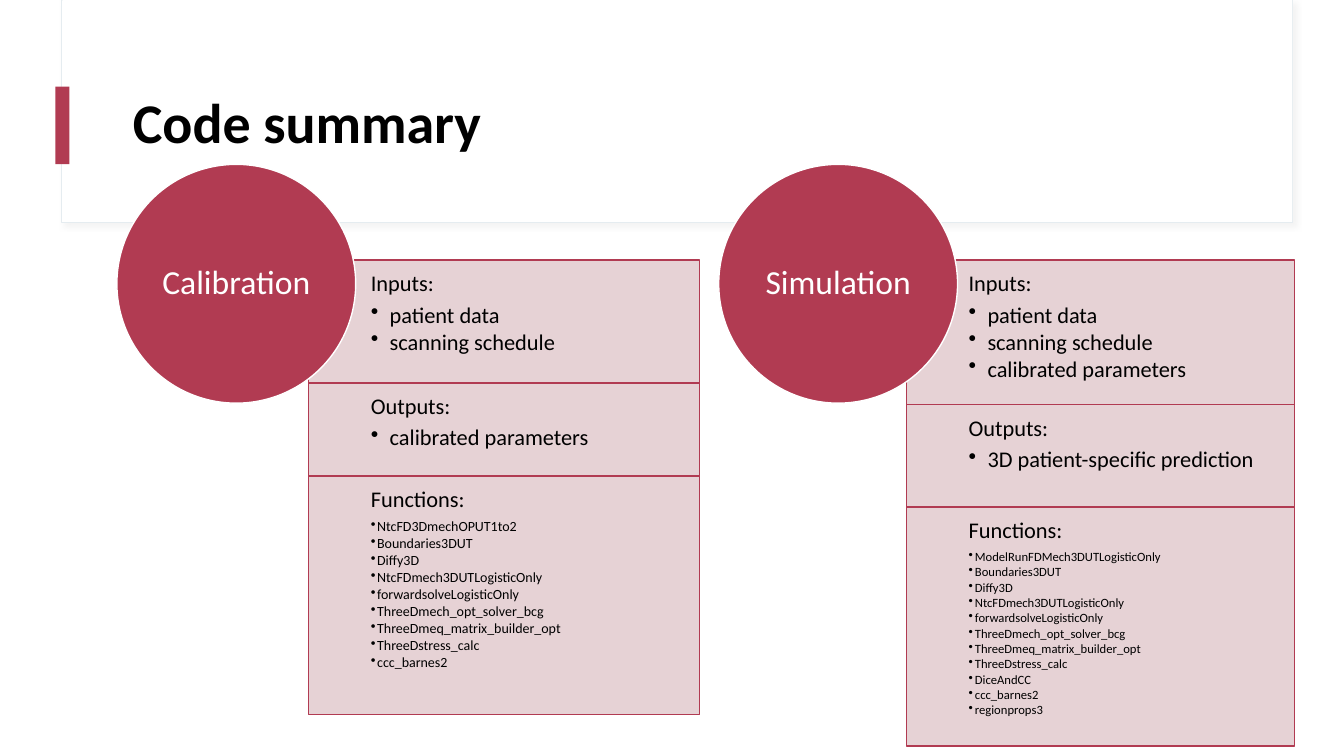
from lxml import etree
from pptx import Presentation
from pptx import util as u
from pptx.dml.color import RGBColor
from pptx.enum import shapes, text
from pptx.oxml.ns import qn

COLORS = {
    "crimson": "B13B52",
    "blush": "E4CED1",
    "mist": "E5ECF0",
    "shade": "D9D9D9",
    "white": "FFFFFF",
    "black": "000000",
}
FONT = "Calibri"
LINE_SPACING = 0.9
HEADING_SIZE = 16

PANEL_TOP = 185.8
CIRCLE_TOP, CIRCLE_SIZE = 117.4, 170.6
SHARED_FUNCTIONS = [
    "Boundaries3DUT", "Diffy3D", "NtcFDmech3DUTLogisticOnly",
    "forwardsolveLogisticOnly", "ThreeDmech_opt_solver_bcg",
    "ThreeDmeq_matrix_builder_opt", "ThreeDstress_calc",
]
# Each panel: heading, height, bullet size, bullet indent, bullets
STAGES = [
    {"name": "Calibration", "circle_left": 83.5, "left": 220.3, "width": 279.4,
     "panels": [
         ("Inputs:", 87.8, 16, 13.5, ["patient data", "scanning schedule"]),
         ("Outputs:", 66.4, 16, 13.5, ["calibrated parameters"]),
         ("Functions:", 170.6, 10, 4.5,
          ["NtcFD3DmechOPUT1to2", *SHARED_FUNCTIONS, "ccc_barnes2"]),
     ]},
    {"name": "Simulation", "circle_left": 513.4, "left": 647.3, "width": 277.2,
     "panels": [
         ("Inputs:", 103.3, 16, 13.5,
          ["patient data", "scanning schedule", "calibrated parameters"]),
         ("Outputs:", 73.1, 16, 13.5, ["3D patient-specific prediction"]),
         ("Functions:", 170.6, 9, 4.5,
          ["ModelRunFDMech3DUTLogisticOnly", *SHARED_FUNCTIONS,
           "DiceAndCC", "ccc_barnes2", "regionprops3"]),
     ]},
]


def rgb(name):
    return RGBColor.from_string(COLORS[name])


def add_child(parent, tag, **attrs):
    return etree.SubElement(parent, qn(tag), {k: str(v) for k, v in attrs.items()})


def write(p, content, size=HEADING_SIZE, color="black", bold=False,
          align=text.PP_ALIGN.LEFT, after=0, indent=0):
    """Fill a paragraph; an indent makes it a bullet."""
    p.alignment = align
    p.line_spacing = LINE_SPACING
    p.space_after = u.Pt(after)
    r = p.add_run()
    r.text = content
    r.font.name = FONT
    r.font.size = u.Pt(size)
    r.font.bold = bold
    r.font.color.rgb = rgb(color)
    if indent:
        p.level = 1
        pPr = p._p.get_or_add_pPr()
        pPr.set("marL", str(u.Pt(indent)))
        pPr.set("indent", str(-u.Pt(indent)))
        add_child(pPr, "a:buChar", char="•")


class Deck:
    def __init__(self):
        self.prs = Presentation()
        self.prs.slide_width = u.Pt(960)
        self.prs.slide_height = u.Pt(540)
        self.s = self.prs.slides.add_slide(self.prs.slide_layouts[6])

    def shape(self, kind, box, fill, line=None, line_width=1, alpha=None):
        sp = self.s.shapes.add_shape(kind, *map(u.Pt, box))
        sp.shadow.inherit = False
        sp.fill.solid()
        sp.fill.fore_color.rgb = rgb(fill)
        if alpha:
            color = sp._element.spPr.find(qn("a:solidFill"))[0]
            add_child(color, "a:alpha", val=alpha * 1000)
        if line:
            sp.line.color.rgb = rgb(line)
            sp.line.width = u.Pt(line_width)
        else:
            sp.line.fill.background()
        return sp

    def rect(self, *args, **kwargs):
        return self.shape(shapes.MSO_SHAPE.RECTANGLE, *args, **kwargs)

    def frame(self, sp, anchor, left=0, top=0, right=0, bottom=0):
        """Set up the text area of a shape."""
        tf = sp.text_frame
        tf.word_wrap = True
        tf.vertical_anchor = anchor
        tf.margin_left, tf.margin_top = u.Pt(left), u.Pt(top)
        tf.margin_right, tf.margin_bottom = u.Pt(right), u.Pt(bottom)
        return tf

    def header(self, title):
        sp = self.rect((43.9, 0, 879.1, 159.1), "white", "mist", 0.75)
        effects = sp._element.spPr.find(qn("a:effectLst"))
        shadow = add_child(effects, "a:outerShdw", blurRad=u.Pt(4), dist=u.Pt(3),
                           dir=45 * 60000, algn="tl", rotWithShape=0)
        color = add_child(shadow, "a:srgbClr", val=COLORS["shade"])
        add_child(color, "a:alpha", val=30000)
        self.rect((44.6, 0, 878.4, 158.4), "white")
        self.rect((39.6, 61.9, 10.1, 55.4), "crimson")
        tb = self.s.shapes.add_textbox(*map(u.Pt, (87.8, 43.2, 800.6, 92.9)))
        tf = self.frame(tb, text.MSO_ANCHOR.MIDDLE, 7.2, 3.6, 7.2, 3.6)
        write(tf.paragraphs[0], title, size=40, bold=True)

    def panel(self, box, heading, size, indent, bullets):
        sp = self.rect(box, "blush", "crimson", alpha=90)
        tf = self.frame(sp, text.MSO_ANCHOR.TOP, 44.6, 8.6, 8.6, 8.6)
        write(tf.paragraphs[0], heading, after=5.3)
        for bullet in bullets:
            write(tf.add_paragraph(), bullet, size=size, indent=indent,
                  after=round(0.13 * size, 1))

    def circle(self, left, name):
        box = (left, CIRCLE_TOP, CIRCLE_SIZE, CIRCLE_SIZE)
        sp = self.shape(shapes.MSO_SHAPE.OVAL, box, "crimson", "white")
        tf = self.frame(sp, text.MSO_ANCHOR.MIDDLE)
        write(tf.paragraphs[0], name, size=24, color="white",
              align=text.PP_ALIGN.CENTER)

    def stage(self, name, circle_left, left, width, panels):
        top = PANEL_TOP
        for heading, height, size, indent, bullets in panels:
            self.panel((left, top, width, height), heading, size, indent, bullets)
            top += height
        self.circle(circle_left, name)


def main():
    deck = Deck()
    deck.header("Code summary")
    for stage in STAGES:
        deck.stage(**stage)
    deck.prs.save("out.pptx")


if __name__ == "__main__":
    main()
